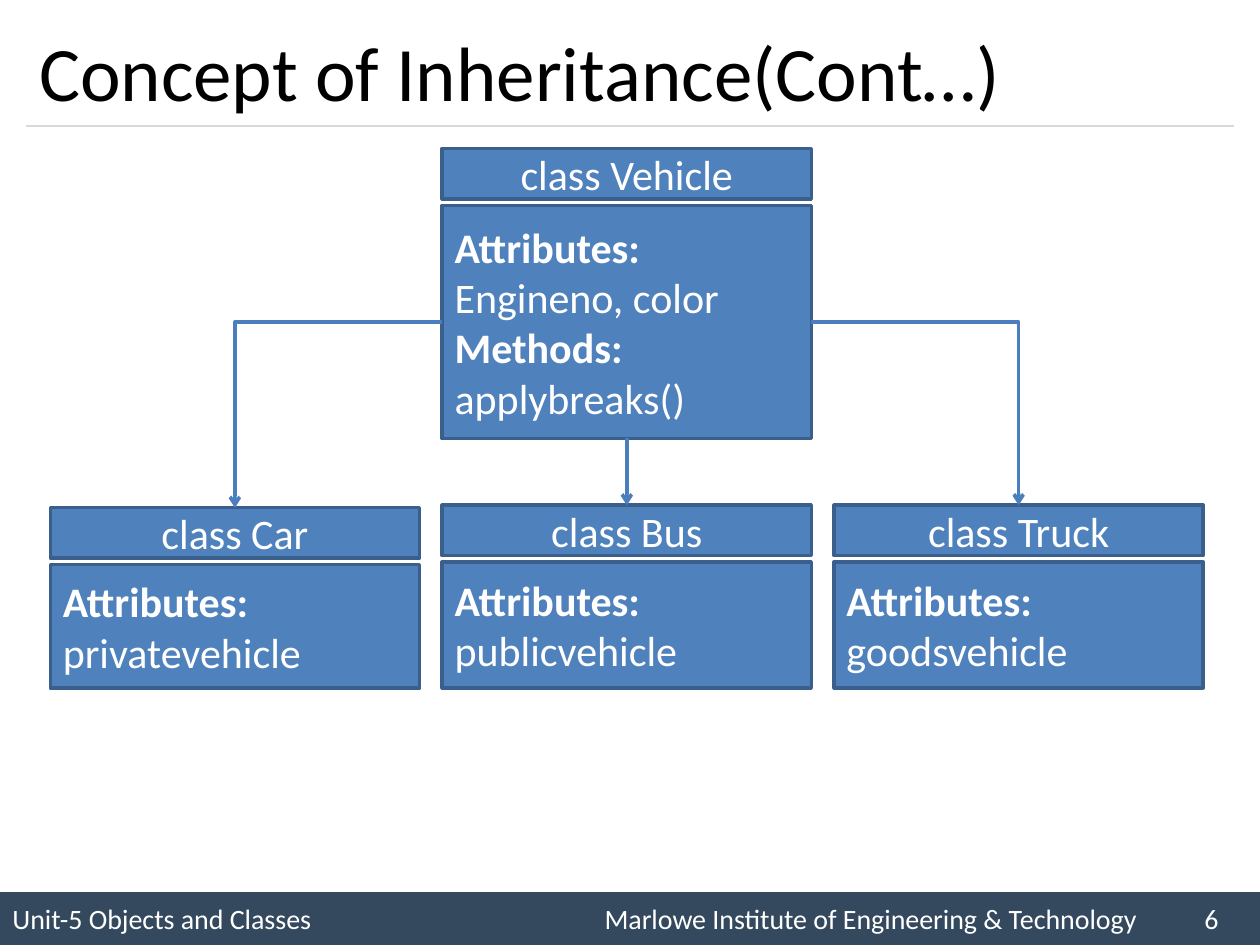
from lxml.etree import SubElement
from pptx import Presentation
from pptx.dml.color import RGBColor
from pptx.enum.shapes import MSO_CONNECTOR, MSO_SHAPE
from pptx.enum.text import MSO_ANCHOR, PP_ALIGN
from pptx.oxml.ns import qn
from pptx.util import Inches, Pt

# Content
TITLE = "Concept of Inheritance(Cont…)"
FOOTER = ["Unit-5 Objects and Classes",
          "Marlowe Institute of Engineering & Technology", "6"]
FOOTER_TABS = [4.7, 9.46]

# Class name, grid column, top, bottom, sections of (heading, members)
PARENT = ("class Vehicle", 1, 1.18, 3.48,
          [("Attributes:", "Engineno, color"), ("Methods:", "applybreaks()")])
CHILDREN = [
    ("class Car", 0, 4.03, 5.46, [("Attributes:", "privatevehicle")]),
    ("class Bus", 1, 4.01, 5.46, [("Attributes:", "publicvehicle")]),
    ("class Truck", 2, 4.01, 5.46, [("Attributes:", "goodsvehicle")]),
]

# Look and grid, in inches
COLORS = {"box": "4F81BD", "border": "3A5F8C", "arrow": "4B7EBC",
          "footer": "34495E", "rule": "D9D9D9", "light": "FFFFFF", "dark": "000000"}
FONT = "Calibri"
WIDTH, HEIGHT, MARGIN = 10, 7.5, 0.21
FOOTER_HEIGHT = 0.42
GRID_LEFT, COLUMN_STEP, BOX_WIDTH = 0.4, 3.11, 2.93
HEADER_HEIGHT, HEADER_GAP = 0.4, 0.05
TOP, LEFT, BOTTOM, RIGHT = range(4)  # connection sites of a rectangle


def color(key):
    return RGBColor.from_string(COLORS[key])


def style_text(paragraph, size, key="light", bold=False):
    font = paragraph.font
    font.name, font.size, font.bold = FONT, Pt(size), bold
    font.color.rgb = color(key)


def add_box(slide, left, top, width, height, fill, border=None):
    box = slide.shapes.add_shape(MSO_SHAPE.RECTANGLE, Inches(left), Inches(top),
                                 Inches(width), Inches(height))
    box.shadow.inherit = False
    box.fill.solid()
    box.fill.fore_color.rgb = color(fill)
    if border:
        box.line.color.rgb = color(border)
        box.line.width = Pt(2)
    else:
        box.line.fill.background()
    box.text_frame.vertical_anchor = MSO_ANCHOR.MIDDLE
    return box


def write_lines(box, lines, align):
    """Write (text, bold) lines, one paragraph each."""
    frame = box.text_frame
    for number, (text, bold) in enumerate(lines):
        paragraph = frame.add_paragraph() if number else frame.paragraphs[0]
        paragraph.text, paragraph.alignment = text, align
        style_text(paragraph, 24, bold=bold)


def add_class(slide, name, column, top, bottom, sections):
    left = GRID_LEFT + column * COLUMN_STEP
    body_top = top + HEADER_HEIGHT + HEADER_GAP
    body = add_box(slide, left, body_top, BOX_WIDTH, bottom - body_top, "box", "border")
    lines = [line for heading, members in sections
             for line in ((heading, True), (members, False))]
    write_lines(body, lines, PP_ALIGN.LEFT)
    header = add_box(slide, left, top, BOX_WIDTH, HEADER_HEIGHT, "box", "border")
    write_lines(header, [(name, False)], PP_ALIGN.CENTER)
    return header, body


def add_line(slide, kind, start, end, key, width):
    line = slide.shapes.add_connector(kind, *start, *end)
    line.line.color.rgb = color(key)
    line.line.width = Pt(width)
    SubElement(line._element.spPr, qn("a:effectLst"))
    return line


def site_point(box, site):
    x = {LEFT: box.left, RIGHT: box.left + box.width}.get(site, box.left + box.width // 2)
    y = {TOP: box.top, BOTTOM: box.top + box.height}.get(site, box.top + box.height // 2)
    return x, y


def add_arrow(slide, parent, site, child):
    kind = MSO_CONNECTOR.STRAIGHT if site == BOTTOM else MSO_CONNECTOR.ELBOW
    arrow = add_line(slide, kind, site_point(parent, site), site_point(child, TOP),
                     "arrow", 2)
    if site != BOTTOM:  # a single bend
        arrow._element.spPr.find(qn("a:prstGeom")).set("prst", "bentConnector2")
    arrow.begin_connect(parent, site)
    arrow.end_connect(child, TOP)
    SubElement(arrow.line._get_or_add_ln(), qn("a:tailEnd"), type="arrow")


def add_footer(slide):
    bar = add_box(slide, 0, HEIGHT - FOOTER_HEIGHT, WIDTH, FOOTER_HEIGHT, "footer")
    paragraph = bar.text_frame.paragraphs[0]
    paragraph.text = "\t".join(FOOTER)
    paragraph.alignment = PP_ALIGN.LEFT
    tabs = SubElement(paragraph._p.get_or_add_pPr(), qn("a:tabLst"))
    for position in FOOTER_TABS:
        SubElement(tabs, qn("a:tab"), pos=str(Inches(position)), algn="l")
    style_text(paragraph, 16)


def add_title(slide):
    title = slide.shapes.title
    title.left, title.top = Inches(MARGIN), Inches(0.12)
    title.width, title.height = Inches(WIDTH - 2 * MARGIN), Inches(0.88)
    title.text_frame.text = TITLE
    title.text_frame.vertical_anchor = MSO_ANCHOR.MIDDLE
    paragraph = title.text_frame.paragraphs[0]
    paragraph.alignment = PP_ALIGN.LEFT
    style_text(paragraph, 44, "dark")


def main():
    deck = Presentation()
    deck.slide_width, deck.slide_height = Inches(WIDTH), Inches(HEIGHT)
    slide = deck.slides.add_slide(deck.slide_layouts[5])

    # Frame of the slide
    add_footer(slide)
    add_line(slide, MSO_CONNECTOR.STRAIGHT, (Inches(MARGIN), Inches(1)),
             (Inches(WIDTH - MARGIN), Inches(1)), "rule", 0.75)
    add_title(slide)

    # Class diagram
    child_headers = [add_class(slide, *child)[0] for child in CHILDREN]
    _, vehicle = add_class(slide, *PARENT)
    for site, header in zip((LEFT, BOTTOM, RIGHT), child_headers):
        add_arrow(slide, vehicle, site, header)

    deck.save("out.pptx")


if __name__ == "__main__":
    main()
